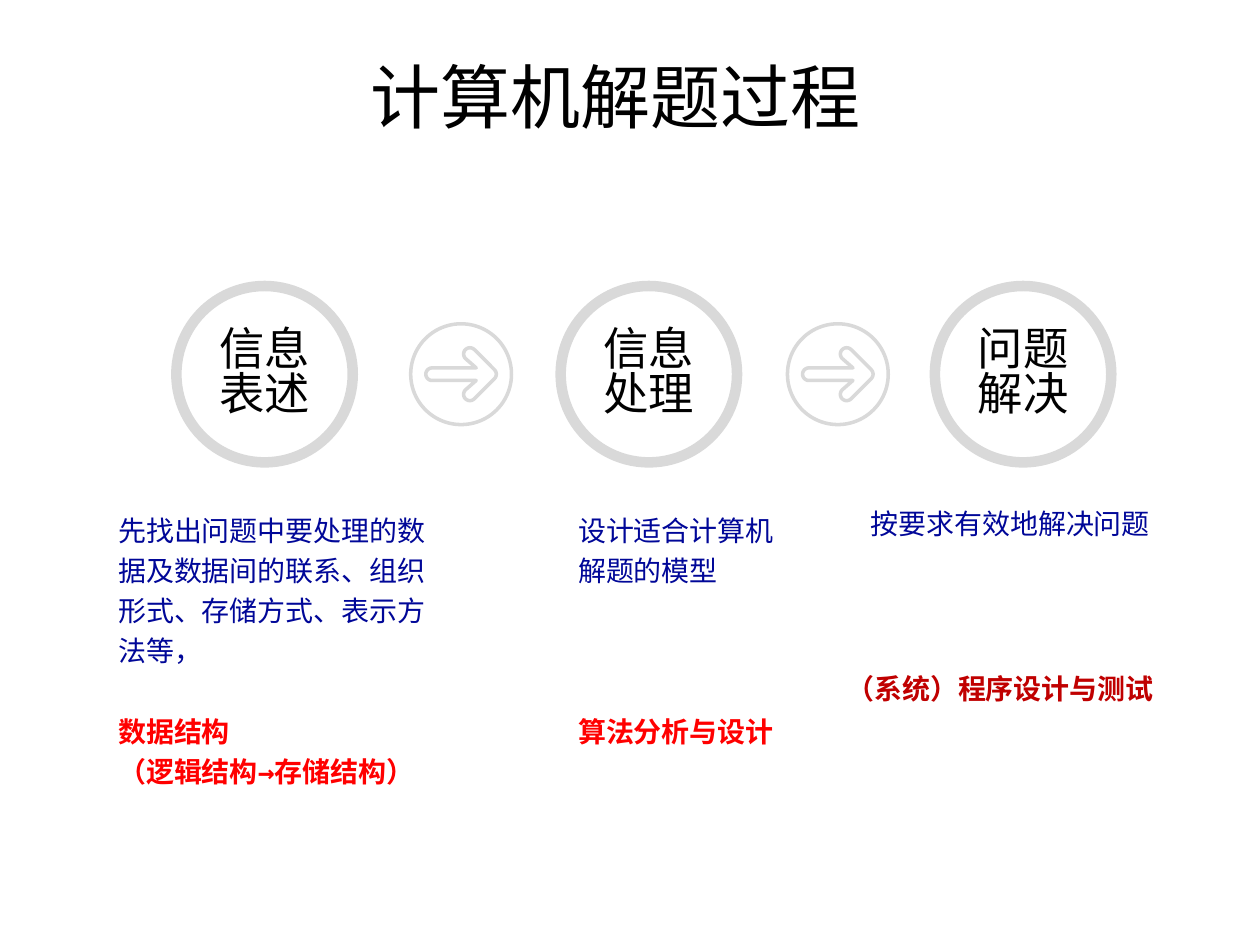
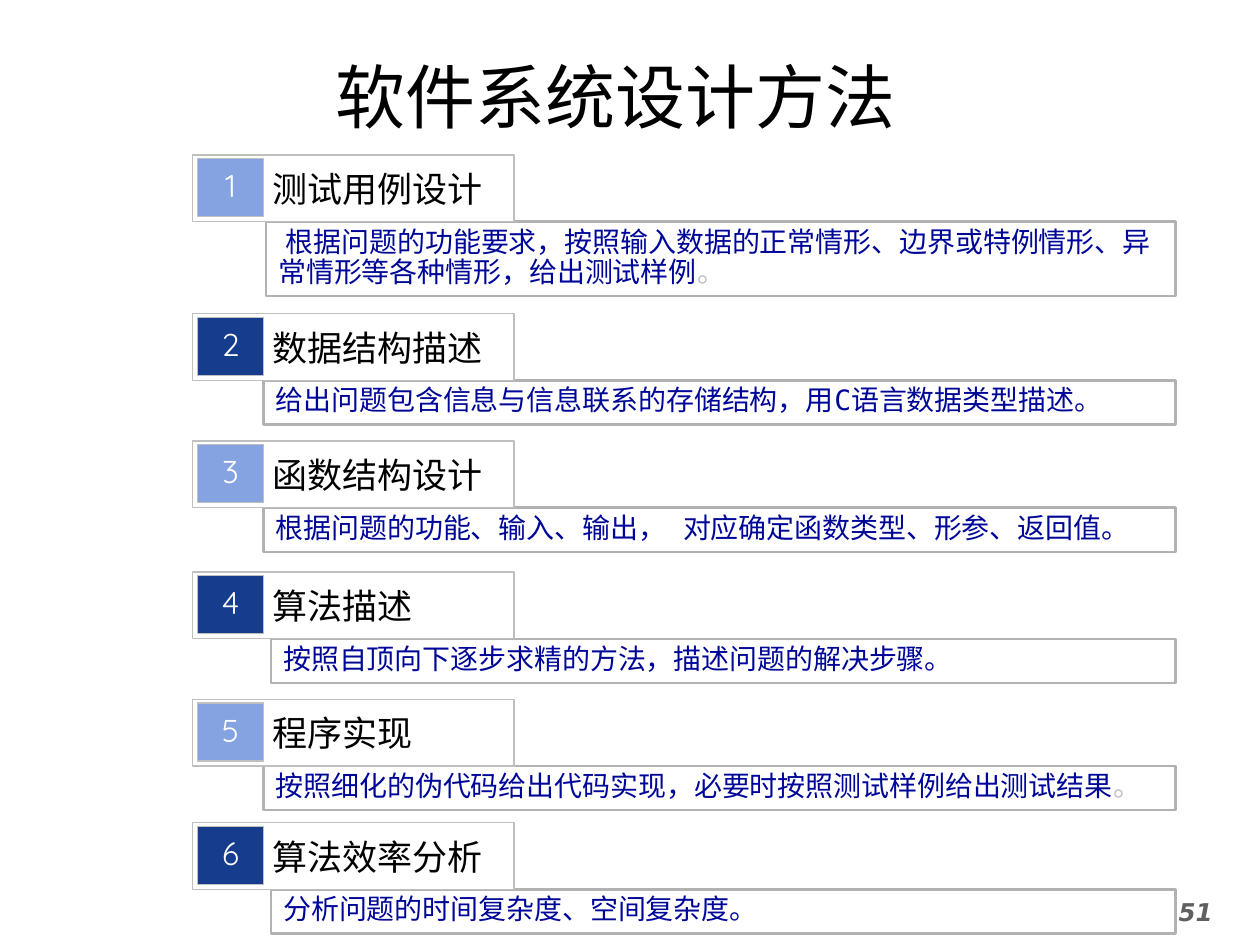
"""Build two slides on solving problems by computer and designing software."""
import math
from dataclasses import dataclass

import pptx
import pptx.dml.color
import pptx.enum.shapes
import pptx.enum.text
import pptx.oxml.ns
import pptx.util
from lxml import etree

Inches = pptx.util.Inches
Pt = pptx.util.Pt
SHAPE = pptx.enum.shapes.MSO_SHAPE
ALIGN = pptx.enum.text.PP_ALIGN
ANCHOR = pptx.enum.text.MSO_ANCHOR

BLACK, WHITE, NAVY, RED, DARK_RED = "000000", "FFFFFF", "000798", "FF0000", "C00000"
RING_GREY, HEAD_GREY, BOX_GREY, PAGE_GREY = "D9D9D9", "BFBFBF", "B2B2B2", "5F5F5F"
BADGE_COLORS = ("85A3E0", "153C8D")
MONO, TITLE_FONT, STAGE_FONT = "DejaVu Sans Mono", "Noto Sans CJK JP", "Noto Sans CJK SC"
RING_CENTER_Y = 2.97


@dataclass
class Style:
    size: float
    font: str = MONO
    color: str = BLACK
    bold: bool = False
    italic: bool = False
    align: ALIGN = ALIGN.LEFT
    spacing: float = 1.0
    before: float = 0


@dataclass
class Line:
    text: str
    style: Style


@dataclass
class Stage:
    ring_left: float
    name: tuple[str, str]
    note_box: tuple[float, float, float, float]
    notes: list[Line]


@dataclass
class Step:
    top: float
    title: str
    detail: str
    left: float = 2.09
    height: float = 0.35
    indent: float = 0
    grey_end: bool = False


TITLE = Style(40, TITLE_FONT, align=ALIGN.CENTER)
STAGE_NAME = Style(25.9, STAGE_FONT, align=ALIGN.CENTER, spacing=0.84)
NOTE = Style(16, color=NAVY, spacing=1.2)
HEAD = Style(20, spacing=1.3)
DETAIL = Style(16, color=NAVY, spacing=0.9)
BADGE = Style(18, "Quicksand", WHITE, align=ALIGN.CENTER, spacing=0.9)
PAGE = Style(14, "DejaVu Sans", PAGE_GREY, bold=True, italic=True, align=ALIGN.CENTER)

STAGES = [
    Stage(1.4, ("信息", "表述"), (0.84, 3.97, 2.82, 2.36), [
        Line("先找出问题中要处理的数据及数据间的联系、组织形式、存储方式、表示方法等，", NOTE),
        Line("数据结构", Style(16, color=RED, bold=True, spacing=1.2, before=23)),
        Line("（逻辑结构→存储结构）", Style(16, color=RED, bold=True, spacing=1.2)),
    ]),
    Stage(4.45, ("信息", "处理"), (4.49, 3.97, 1.78, 2.7), [
        Line("设计适合计算机解题的模型", NOTE),
        Line("算法分析与设计", Style(16, color=RED, bold=True, spacing=1.2, before=69)),
    ]),
    Stage(7.42, ("问题", "解决"), (6.62, 3.97, 2.8, 2.15), [
        Line("按要求有效地解决问题", Style(16, color=NAVY, align=ALIGN.CENTER)),
        Line("（系统）程序设计与测试", Style(16, color=DARK_RED, bold=True, before=75)),
    ]),
]
ARROW_CENTERS = (3.66, 6.65)

STEPS = [
    Step(1.23, "测试用例设计",
         "根据问题的功能要求，按照输入数据的正常情形、边界或特例情形、异常情形等各种情形，给出测试样例。",
         left=2.11, height=0.59, indent=0.06, grey_end=True),
    Step(2.49, "数据结构描述", "给出问题包含信息与信息联系的存储结构，用C语言数据类型描述。"),
    Step(3.5, "函数结构设计", "根据问题的功能、输入、输出， 对应确定函数类型、形参、返回值。"),
    Step(4.54, "算法描述", "按照自顶向下逐步求精的方法，描述问题的解决步骤。", left=2.15),
    Step(5.55, "程序实现", "按照细化的伪代码给出代码实现，必要时按照测试样例给出测试结果。", grey_end=True),
    Step(6.53, "算法效率分析", "分析问题的时间复杂度、空间复杂度。", left=2.15),
]


def rgb(color: str) -> pptx.dml.color.RGBColor:
    """Turn a hex string into a colour."""
    return pptx.dml.color.RGBColor.from_string(color)


def style_paragraph(p, style: Style) -> None:
    """Apply a text style to a whole paragraph."""
    p.alignment = style.align
    p.line_spacing = style.spacing
    if style.before:
        p.space_before = Pt(style.before)
    font = p.font
    font.size, font.name = Pt(style.size), style.font
    font.bold, font.italic = style.bold, style.italic
    font.color.rgb = rgb(style.color)
    props = p._p.pPr.find(pptx.oxml.ns.qn("a:defRPr"))
    etree.SubElement(props, pptx.oxml.ns.qn("a:ea")).set("typeface", style.font)


def write(shape, lines: list[Line], anchor=ANCHOR.TOP, insets=(0.1, 0.05, 0.1, 0.05)):
    """Fill a shape with styled lines and return its text frame."""
    tf = shape.text_frame
    tf.word_wrap = True
    tf.vertical_anchor = anchor
    tf.margin_left, tf.margin_top, tf.margin_right, tf.margin_bottom = map(Inches, insets)
    for i, line in enumerate(lines):
        p = tf.add_paragraph() if i else tf.paragraphs[0]
        p.add_run().text = line.text
        style_paragraph(p, line.style)
    return tf


def outline(shape, fill: str | None, line: str, width: float) -> None:
    """Set a shape's fill and line and drop its shadow."""
    shape.shadow.inherit = False
    if fill:
        shape.fill.solid()
        shape.fill.fore_color.rgb = rgb(fill)
    else:
        shape.fill.background()
    shape.line.color.rgb = rgb(line)
    shape.line.width = Pt(width)


def add_box(s, kind, box, fill: str | None, line: str, width: float):
    """Add a preset shape at a box given in inches."""
    sp = s.shapes.add_shape(kind, *map(Inches, box))
    outline(sp, fill, line, width)
    return sp


def add_text(s, box, lines: list[Line], anchor=ANCHOR.TOP) -> None:
    """Add a text box at a box given in inches."""
    write(s.shapes.add_textbox(*map(Inches, box)), lines, anchor)


def add_titled_slide(prs, title: str):
    """Add a blank slide with the shared title."""
    s = prs.slides.add_slide(prs.slide_layouts[6])
    add_text(s, (1.3, 0.37, 7.17, 0.77), [Line(title, TITLE)], ANCHOR.MIDDLE)
    return s


def arc(x: float, y: float, start: int, end: int) -> list[tuple[float, float]]:
    """Return points on a rounded arrow end, angles falling from start to end."""
    angles = [math.radians(a) for a in range(start, end - 1, -15)]
    return [(x + 0.05 * math.cos(a), y + 0.05 * math.sin(a)) for a in angles]


def add_ringed_arrow(s, x: float) -> None:
    """Draw a rounded arrow outline in a thin ring centred at x."""
    add_box(s, SHAPE.OVAL, (x - 0.4, RING_CENTER_Y - 0.4, 0.8, 0.8), None, RING_GREY, 2)
    shaft_end = arc(-0.23, 0, 270, 90)
    lower_barb = arc(0.07, 0.16, 225, 45)
    tip = arc(0.23, 0, 45, -45)
    upper_barb = arc(0.07, -0.16, 315, 135)
    contour = shaft_end + [(0.12, 0.05)] + lower_barb + tip + upper_barb + [(0.12, -0.05)]
    points = [(Inches(x + dx), Inches(RING_CENTER_Y + dy)) for dx, dy in contour]
    builder = s.shapes.build_freeform(*points[0])
    builder.add_line_segments(points[1:], close=True)
    outline(builder.convert_to_shape(), None, RING_GREY, 2)


def add_stage(s, stage: Stage) -> None:
    """Draw a stage ring and the notes beneath it."""
    box = (stage.ring_left, RING_CENTER_Y - 0.7, 1.4, 1.4)
    ring = add_box(s, SHAPE.OVAL, box, None, RING_GREY, 6)
    write(ring, [Line(t, STAGE_NAME) for t in stage.name], ANCHOR.MIDDLE, (0, 0, 0, 0))
    add_text(s, stage.note_box, stage.notes)


def add_step(s, number: int, step: Step) -> None:
    """Draw a numbered step heading with its description."""
    box = (step.left, step.top + 0.53, 9.33 - step.left, step.height)
    detail = add_box(s, SHAPE.RECTANGLE, box, WHITE, BOX_GREY, 1.5)
    body = step.detail[:-1] if step.grey_end else step.detail
    p = write(detail, [Line(body, DETAIL)]).paragraphs[0]
    if step.indent:
        p._p.pPr.set("marL", "0")
        p._p.pPr.set("indent", str(Inches(step.indent)))
    if step.grey_end:
        r = p.add_run()
        r.text = step.detail[-1]
        r.font.color.rgb = rgb(HEAD_GREY)
    head = add_box(s, SHAPE.RECTANGLE, (1.53, step.top, 2.55, 0.53), WHITE, HEAD_GREY, 0.75)
    write(head, [Line(step.title, HEAD)], insets=(0.63, 0, 0.1, 0.28))
    fill = BADGE_COLORS[(number - 1) % 2]
    badge = add_box(s, SHAPE.RECTANGLE, (1.57, step.top + 0.03, 0.52, 0.46), fill, HEAD_GREY, 0.75)
    write(badge, [Line(str(number), BADGE)], ANCHOR.MIDDLE)


def main() -> None:
    """Build and save the presentation."""
    prs = pptx.Presentation()
    prs.slide_width, prs.slide_height = Inches(10), Inches(7.5)

    s = add_titled_slide(prs, "计算机解题过程")
    for stage in STAGES:
        add_stage(s, stage)
    for x in ARROW_CENTERS:
        add_ringed_arrow(s, x)

    s = add_titled_slide(prs, "软件系统设计方法")
    add_text(s, (8.98, 7.07, 1.02, 0.43), [Line("51", PAGE)])
    for number, step in enumerate(STEPS, 1):
        add_step(s, number, step)

    prs.save("out.pptx")


if __name__ == "__main__":
    main()
